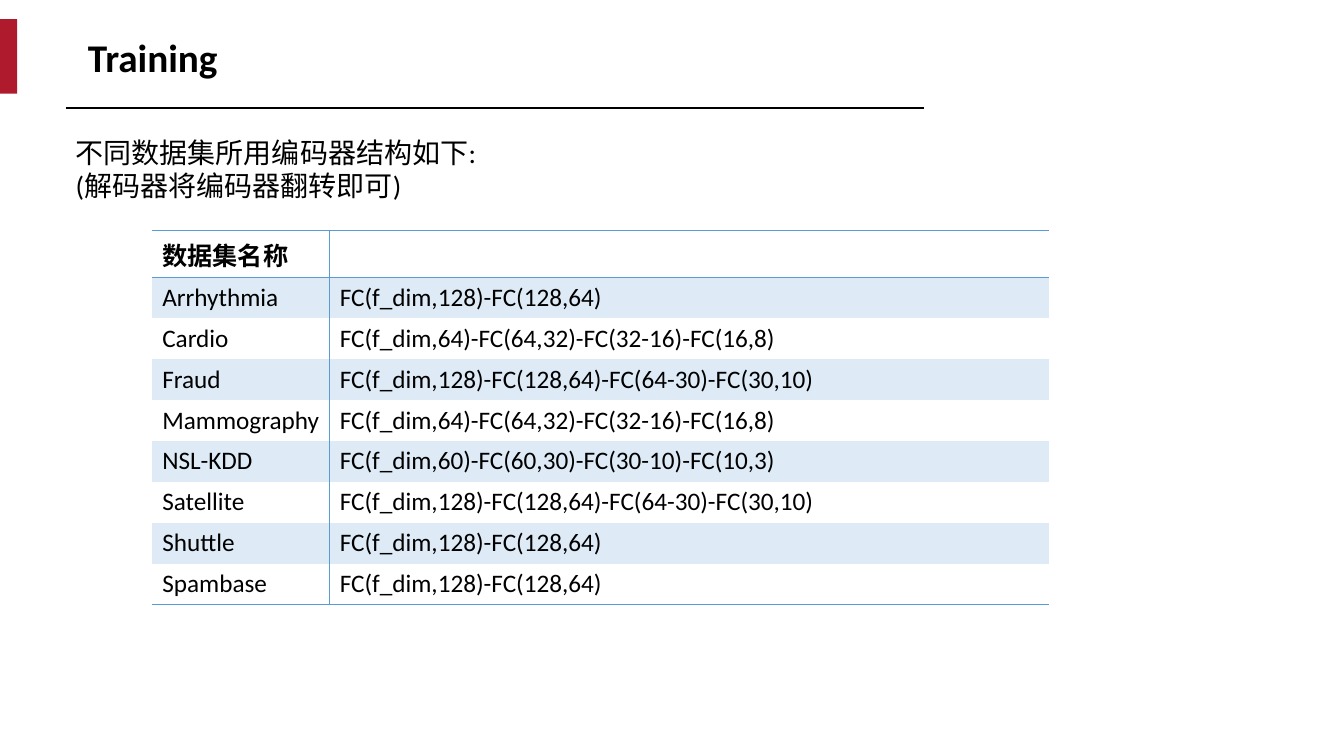
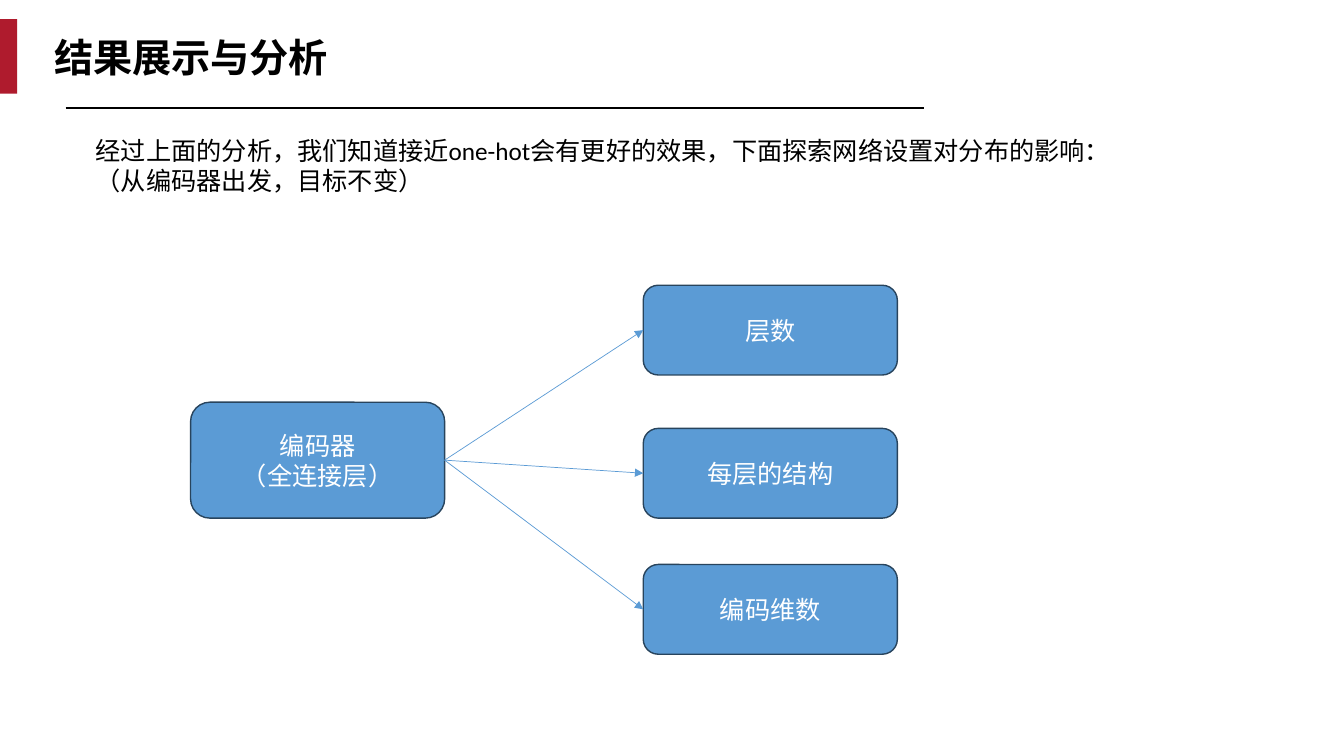
from dataclasses import dataclass

from lxml import etree
from pptx import Presentation
from pptx import util as u
from pptx.dml.color import RGBColor
from pptx.enum import shapes, text
from pptx.oxml import parse_xml
from pptx.oxml.ns import nsdecls, qn


@dataclass(frozen=True)
class Theme:
    font: str = "Calibri"
    ink: str = "000000"
    white: str = "FFFFFF"
    accent: str = "AF1B2D"
    blue: str = "5B9BD5"
    blue_dark: str = "28445D"
    blue_pale: str = "DEEBF7"
    title_size: int = 28
    lead_size: int = 20
    text_size: int = 18


THEME = Theme()
PLAIN_TABLE_STYLE = "{2D5ABB26-0587-4C30-8999-92F81FD0307C}"

ENCODERS = [
    ("数据集名称", ""),
    ("Arrhythmia", "FC(f_dim,128)-FC(128,64)"),
    ("Cardio", "FC(f_dim,64)-FC(64,32)-FC(32-16)-FC(16,8)"),
    ("Fraud", "FC(f_dim,128)-FC(128,64)-FC(64-30)-FC(30,10)"),
    ("Mammography", "FC(f_dim,64)-FC(64,32)-FC(32-16)-FC(16,8)"),
    ("NSL-KDD", "FC(f_dim,60)-FC(60,30)-FC(30-10)-FC(10,3)"),
    ("Satellite", "FC(f_dim,128)-FC(128,64)-FC(64-30)-FC(30,10)"),
    ("Shuttle", "FC(f_dim,128)-FC(128,64)"),
    ("Spambase", "FC(f_dim,128)-FC(128,64)"),
]


def rgb(color):
    return RGBColor.from_string(color)


def inches(*lengths):
    return [u.Inches(length) for length in lengths]


def place(shape, box):
    shape.left, shape.top, shape.width, shape.height = inches(*box)


def write(frame, content, size, color=THEME.ink, bold=False, align=None):
    frame.text = content
    for paragraph in frame.paragraphs:
        paragraph.alignment = align
        for run in paragraph.runs:
            run.font.name = THEME.font
            run.font.size = u.Pt(size)
            run.font.bold = bold
            run.font.color.rgb = rgb(color)


def add_box(slide, kind, box, fill, line=None):
    shape = slide.shapes.add_shape(kind, *inches(*box))
    shape.shadow.inherit = False
    shape.fill.solid()
    shape.fill.fore_color.rgb = rgb(fill)
    if line:
        shape.line.color.rgb = rgb(line)
        shape.line.width = u.Pt(1)
    else:
        shape.line.fill.background()
    return shape


def add_line(slide, start, end, color, width, arrow=False):
    line = slide.shapes.add_connector(
        shapes.MSO_CONNECTOR.STRAIGHT, *inches(*start, *end))
    line.line.color.rgb = rgb(color)
    line.line.width = u.Pt(width)
    if arrow:
        outline = line.element.spPr.find(qn("a:ln"))
        etree.SubElement(outline, qn("a:tailEnd"), type="triangle")
    etree.SubElement(line.element.spPr, qn("a:effectLst"))
    return line


def add_titled_slide(presentation, title, title_width):
    """Add a slide with its title, red tab and rule."""
    slide = presentation.slides.add_slide(presentation.slide_layouts[1])
    place(slide.shapes.title, (0.17, 0.28, title_width, 0.57))
    frame = slide.shapes.title.text_frame
    frame.auto_size = text.MSO_AUTO_SIZE.NONE
    write(frame, title, THEME.title_size, bold=True, align=text.PP_ALIGN.CENTER)
    add_box(slide, shapes.MSO_SHAPE.RECTANGLE, (0, 0.19, 0.17, 0.74), THEME.accent)
    add_line(slide, (0.65, 1.07), (9.16, 1.07), THEME.ink, 1.5)
    return slide


def fill_lead(slide, box, content, size):
    """Put the introductory lines in the body placeholder, without bullets."""
    body = slide.placeholders[1]
    place(body, box)
    frame = body.text_frame
    frame.auto_size = text.MSO_AUTO_SIZE.NONE
    frame.word_wrap = False
    write(frame, content, size, align=text.PP_ALIGN.LEFT)
    for paragraph in frame.paragraphs:
        paragraph.space_before = u.Pt(0)
        properties = paragraph._p.get_or_add_pPr()
        properties.set("marL", "0")
        properties.set("indent", "0")
        etree.SubElement(properties, qn("a:buNone"))


def set_borders(cell, sides):
    """Rule the given sides of a cell; sides is a string such as "LTB"."""
    properties = cell._tc.get_or_add_tcPr()
    for side in "LRTB":
        if side in sides:
            properties.append(parse_xml(
                f'<a:ln{side} {nsdecls("a")} w="{u.Pt(1)}"><a:solidFill>'
                f'<a:srgbClr val="{THEME.blue}"/></a:solidFill></a:ln{side}>'))


def add_encoder_table(slide, box, rows, first_width):
    graphic = slide.shapes.add_table(len(rows), 2, *inches(*box))
    table = graphic.table
    table.first_row = table.horz_banding = False
    next(graphic.element.iter(qn("a:tableStyleId"))).text = PLAIN_TABLE_STYLE
    for column, width in zip(table.columns, (first_width, box[2] - first_width)):
        column.width = u.Inches(width)
    for i, row in enumerate(rows):
        table.rows[i].height = u.Inches(box[3] / len(rows))
        for j, content in enumerate(row):
            cell = table.cell(i, j)
            write(cell.text_frame, content, THEME.text_size, bold=i == 0)
            rules = "TB" if i == 0 else "B" if i == len(rows) - 1 else ""
            set_borders(cell, rules + "RL"[j])
            if i % 2:
                cell.fill.solid()
                cell.fill.fore_color.rgb = rgb(THEME.blue_pale)
            else:
                cell.fill.background()


def add_node(slide, box, label):
    node = add_box(slide, shapes.MSO_SHAPE.ROUNDED_RECTANGLE, box,
                   THEME.blue, THEME.blue_dark)
    node.text_frame.vertical_anchor = text.MSO_ANCHOR.MIDDLE
    write(node.text_frame, label, THEME.text_size, THEME.white,
          align=text.PP_ALIGN.CENTER)
    return node


def add_factor_tree(slide, box, root_label, factors):
    """Draw the root at the left and one arrow to each (offset, label) factor."""
    left, top, width, _ = box
    node_width = 2.52
    root = add_node(slide, (left, top + 1.16, node_width, 1.15), root_label)
    for offset, label in factors:
        factor = add_node(
            slide, (left + width - node_width, top + offset, node_width, 0.89), label)
        arrow = add_line(slide, (0, 0), (1, 1), THEME.blue, 0.5, arrow=True)
        arrow.begin_connect(root, 3)
        arrow.end_connect(factor, 1)


def build_training(presentation):
    slide = add_titled_slide(presentation, "Training", 2.69)
    fill_lead(slide, (0.65, 1.29, 4.2, 0.77),
              "不同数据集所用编码器结构如下:\n(解码器将编码器翻转即可)", THEME.lead_size)
    add_encoder_table(slide, (1.51, 2.29, 8.89, 3.65), ENCODERS, 1.76)


def build_analysis(presentation):
    slide = add_titled_slide(presentation, "结果展示与分析", 3.45)
    fill_lead(slide, (0.85, 1.29, 10.36, 0.71),
              "经过上面的分析，我们知道接近one-hot会有更好的效果，"
              "下面探索网络设置对分布的影响：\n（从编码器出发，目标不变）",
              THEME.text_size)
    add_factor_tree(slide, (1.89, 2.83, 7.01, 3.66), "编码器\n（全连接层）",
                    [(0, "层数"), (1.42, "每层的结构"), (2.77, "编码维数")])


def main():
    presentation = Presentation()
    presentation.slide_width, presentation.slide_height = inches(13.33, 7.5)
    build_training(presentation)
    build_analysis(presentation)
    presentation.save("out.pptx")


if __name__ == "__main__":
    main()
